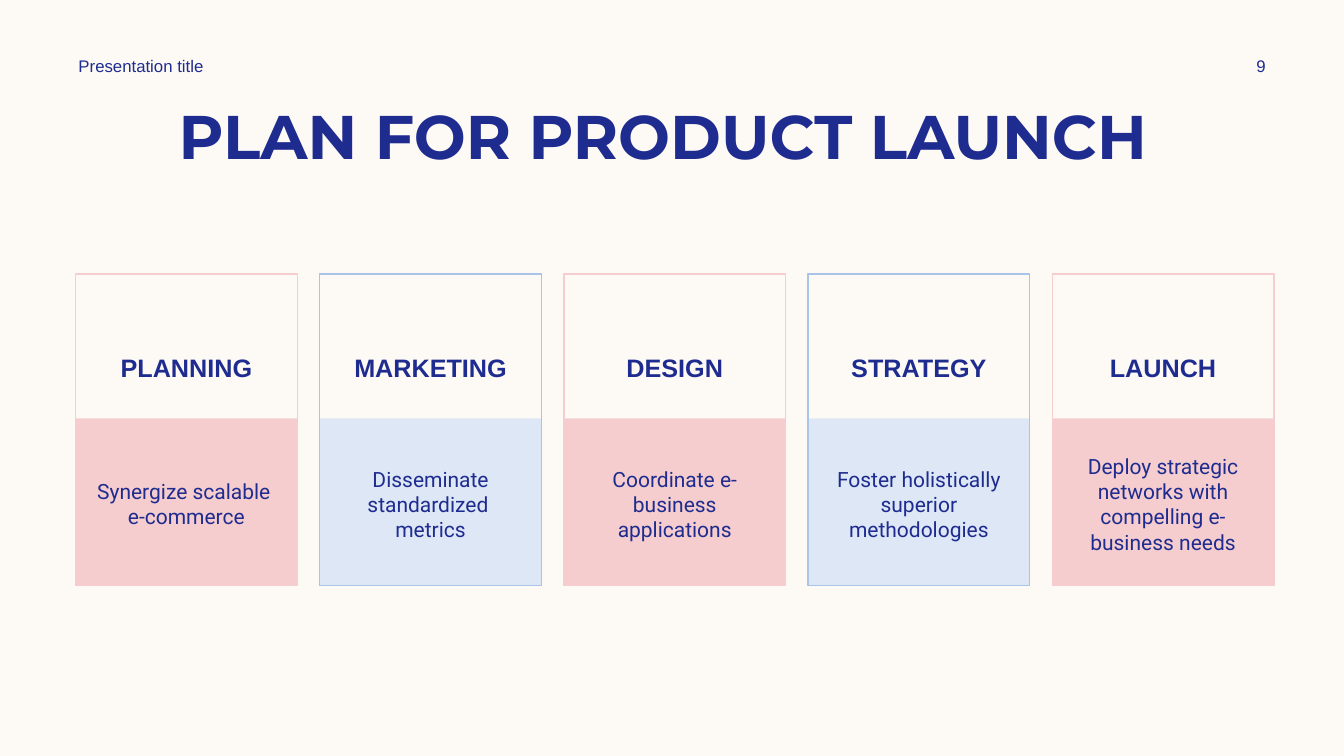
import pptx
import pptx.dml.color
import pptx.enum.shapes
import pptx.enum.text
import pptx.util

Pt = pptx.util.Pt
Align = pptx.enum.text.PP_ALIGN
Anchor = pptx.enum.text.MSO_ANCHOR
RECTANGLE = pptx.enum.shapes.MSO_SHAPE.RECTANGLE

CREAM = pptx.dml.color.RGBColor(0xFD, 0xFA, 0xF6)
NAVY = pptx.dml.color.RGBColor(0x1F, 0x2C, 0x8F)
PINK = pptx.dml.color.RGBColor(0xF5, 0xCD, 0xCE)
PALE_BLUE = pptx.dml.color.RGBColor(0xDD, 0xE7, 0xF6)
BLUE = pptx.dml.color.RGBColor(0xAA, 0xC3, 0xE8)

STAGES = [
    ("PLANNING", "Synergize scalable \ne-commerce"),
    ("MARKETING", "Disseminate standardized \nmetrics"),
    ("DESIGN", "Coordinate e-\nbusiness applications"),
    ("STRATEGY", "Foster holistically superior methodologies"),
    ("LAUNCH", "Deploy strategic networks with compelling e-\nbusiness needs"),
]
COLOUR_PAIRS = [(PINK, PINK), (PALE_BLUE, BLUE)]


def write_text(shape, text, size, font="Arial", bold=False,
               align=Align.CENTER, anchor=Anchor.MIDDLE):
    """Fill a shape with one navy paragraph."""
    frame = shape.text_frame
    frame.word_wrap = True
    frame.vertical_anchor = anchor
    para = frame.paragraphs[0]
    para.text = text
    para.alignment = align
    for span in para.runs:
        span.font.name = font
        span.font.size = Pt(size)
        span.font.bold = bold
        span.font.color.rgb = NAVY


def add_text(page, left, top, width, height, text, size, **style):
    """Place a text box and write in it."""
    box = page.shapes.add_textbox(Pt(left), Pt(top), Pt(width), Pt(height))
    write_text(box, text, size, **style)


def add_rectangle(page, left, top, width, height, fill=None, line=None):
    """Place a rectangle with an optional fill and outline."""
    box = page.shapes.add_shape(RECTANGLE, Pt(left), Pt(top), Pt(width), Pt(height))
    box.shadow.inherit = False
    if fill is None:
        box.fill.background()
    else:
        box.fill.solid()
        box.fill.fore_color.rgb = fill
    if line is None:
        box.line.fill.background()
    else:
        box.line.color.rgb = line
        box.line.width = Pt(1)
    return box


def add_header(page, left, top, width):
    """Place the running title, page number and heading."""
    add_text(page, left, top, 252, 21.6, "Presentation title", 12, align=Align.LEFT)
    add_text(page, left + width - 77.8, top, 77.8, 21.6, "9", 12)
    add_text(page, left + 10.8, top + 30.2, 840.2, 60.5,
             "PLAN FOR PRODUCT LAUNCH ", 44, font="Montserrat", bold=True)


def add_stage(page, left, top, width, height, stage, colours):
    """Place one stage card with its heading above a tinted panel."""
    heading, detail = stage
    tint, outline = colours
    panel_height = 119.5
    panel_top = top + height - panel_height
    add_rectangle(page, left, panel_top, width, panel_height, fill=tint)
    card = add_rectangle(page, left, top, width, height, line=outline)
    card.text_frame.margin_top = Pt(55.5)
    write_text(card, heading, 18, bold=True, anchor=Anchor.TOP)
    add_text(page, left + 3.6, panel_top + 7.2, width - 7.2, 108, detail, 15, font="Roboto")


def add_stages(page, left, top, width, height):
    """Spread the stage cards evenly over the given box."""
    card_width = 158.4
    pitch = (width - card_width) / (len(STAGES) - 1)
    for index, stage in enumerate(STAGES):
        add_stage(page, left + index * pitch, top, card_width, height,
                  stage, COLOUR_PAIRS[index % 2])


def main():
    """Build and save the deck."""
    deck = pptx.Presentation()
    deck.slide_width = Pt(960)
    deck.slide_height = Pt(540)
    page = deck.slides.add_slide(deck.slide_layouts[6])
    page.background.fill.solid()
    page.background.fill.fore_color.rgb = CREAM
    add_header(page, 49, 36, 890.6)
    add_stages(page, 54, 195.8, 856, 222.5)
    deck.save("out.pptx")


if __name__ == "__main__":
    main()
